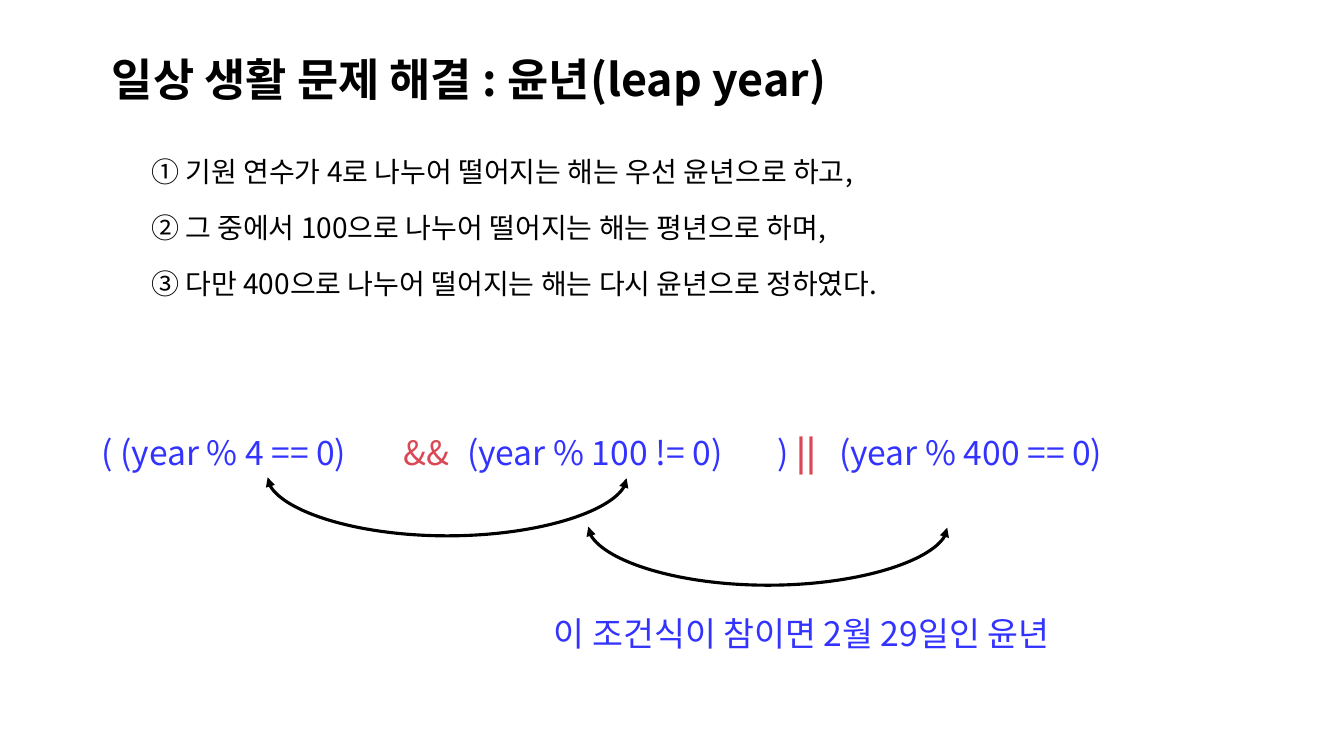
from dataclasses import dataclass

from lxml.etree import SubElement
from pptx import Presentation
from pptx.dml.color import RGBColor
from pptx.enum.shapes import MSO_CONNECTOR
from pptx.enum.text import MSO_ANCHOR, MSO_AUTO_SIZE
from pptx.oxml.ns import qn
from pptx.slide import Slide
from pptx.util import Pt

PX = 9144  # EMU; 100 px to the inch


@dataclass(frozen=True)
class Theme:
    black: str = "000000"
    blue: str = "3333FF"
    red: str = "DA4855"
    text_font: str = "Noto Sans CJK TC"
    code_font: str = "Noto Sans CJK KR"
    title_size: int = 32
    code_size: int = 24
    rule_size: int = 20
    line_width: float = 2.25


THEME = Theme()


@dataclass(frozen=True)
class Box:
    left: int
    top: int
    width: int
    height: int


@dataclass(frozen=True)
class Run:
    text: str
    color: str = THEME.blue
    bold: bool = False


@dataclass(frozen=True)
class Term:
    """One piece of the condition, in its own box."""
    left: int
    width: int
    runs: tuple[Run, ...]
    top: int = 424


@dataclass(frozen=True)
class Arc:
    """A double-headed curve hanging below two points on one level."""
    left: int
    top: int
    span: int = 356
    depth: int = 59


TITLE = " 일상 생활 문제 해결 : 윤년(leap year)"
RULES = (
    "① 기원 연수가 4로 나누어 떨어지는 해는 우선 윤년으로 하고,",
    "② 그 중에서 100으로 나누어 떨어지는 해는 평년으로 하며,",
    "③ 다만 400으로 나누어 떨어지는 해는 다시 윤년으로 정하였다.",
)
TERMS = (
    Term(91, 335, (Run("( (year % 4 == 0)"),)),
    Term(446, 338, (Run(" (year % 100 != 0)"),)),
    Term(383, 86, (Run(" &&", THEME.red),)),
    Term(761, 79, (Run(") "), Run("||", THEME.red, bold=True))),
    Term(815, 354, (Run(" (year % 400 == 0)"),)),
    Term(532, 589, (Run(" 이 조건식이 참이면 2월 29일인 윤년"),), top=603),
)
ARCS = (Arc(265, 474), Arc(583, 523))


def add_text(s: Slide, box: Box, paragraphs: list[tuple[Run, ...]], *, font: str,
             size: int, wrap: bool = True, anchor: MSO_ANCHOR = MSO_ANCHOR.TOP,
             line_spacing: float = 1.0, space_before: float = 0,
             indent: int = 0) -> None:
    sp = s.shapes.add_textbox(box.left * PX, box.top * PX, box.width * PX, box.height * PX)
    tf = sp.text_frame
    tf.word_wrap = wrap
    tf.auto_size = MSO_AUTO_SIZE.NONE if wrap else MSO_AUTO_SIZE.SHAPE_TO_FIT_TEXT
    tf.vertical_anchor = anchor
    for i, runs in enumerate(paragraphs):
        p = tf.add_paragraph() if i else tf.paragraphs[0]
        p.line_spacing = line_spacing
        p.space_before = Pt(space_before)
        p._p.get_or_add_pPr().set("marL", str(indent * PX))
        for run in runs:
            r = p.add_run()
            r.text = run.text
            r.font.name = font
            r.font.size = Pt(size)
            r.font.bold = run.bold
            r.font.color.rgb = RGBColor.from_string(run.color)
            SubElement(r._r.get_or_add_rPr(), qn("a:ea"), typeface=font)


def add_arc(s: Slide, arc: Arc) -> None:
    """Draw the curve upright, one px wide, then turn it by 270 degrees."""
    middle = arc.left + arc.span // 2
    top = arc.top - arc.span // 2
    line = s.shapes.add_connector(MSO_CONNECTOR.CURVE, (middle + 1) * PX, top * PX,
                                  middle * PX, (top + arc.span) * PX)
    line.line.color.rgb = RGBColor.from_string(THEME.black)
    line.line.width = Pt(THEME.line_width)
    sp_pr = line._element.spPr
    sp_pr.find(qn("a:xfrm")).set("rot", str(270 * 60000))
    guides = sp_pr.find(qn("a:prstGeom")).get_or_add_avLst()
    SubElement(guides, qn("a:gd"), name="adj1", fmla=f"val {arc.depth * 100000}")
    ln = line.line._get_or_add_ln()
    for end in ("a:headEnd", "a:tailEnd"):
        SubElement(ln, qn(end), type="triangle")
    SubElement(sp_pr, qn("a:effectLst"))


def main() -> None:
    prs = Presentation()
    prs.slide_width, prs.slide_height = 1333 * PX, 750 * PX
    s = prs.slides.add_slide(prs.slide_layouts[6])
    add_text(s, Box(91, 41, 1145, 80), [(Run(TITLE, THEME.black, bold=True),)],
             font=THEME.text_font, size=THEME.title_size,
             anchor=MSO_ANCHOR.MIDDLE, line_spacing=0.9)
    add_text(s, Box(102, 132, 1116, 180), [(Run(rule, THEME.black),) for rule in RULES],
             font=THEME.text_font, size=THEME.rule_size,
             line_spacing=1.5, space_before=3.8, indent=38)
    for term in TERMS:
        add_text(s, Box(term.left, term.top, term.width, 50), [term.runs],
                 font=THEME.code_font, size=THEME.code_size, wrap=False)
    for arc in ARCS:
        add_arc(s, arc)
    prs.save("out.pptx")


if __name__ == "__main__":
    main()
